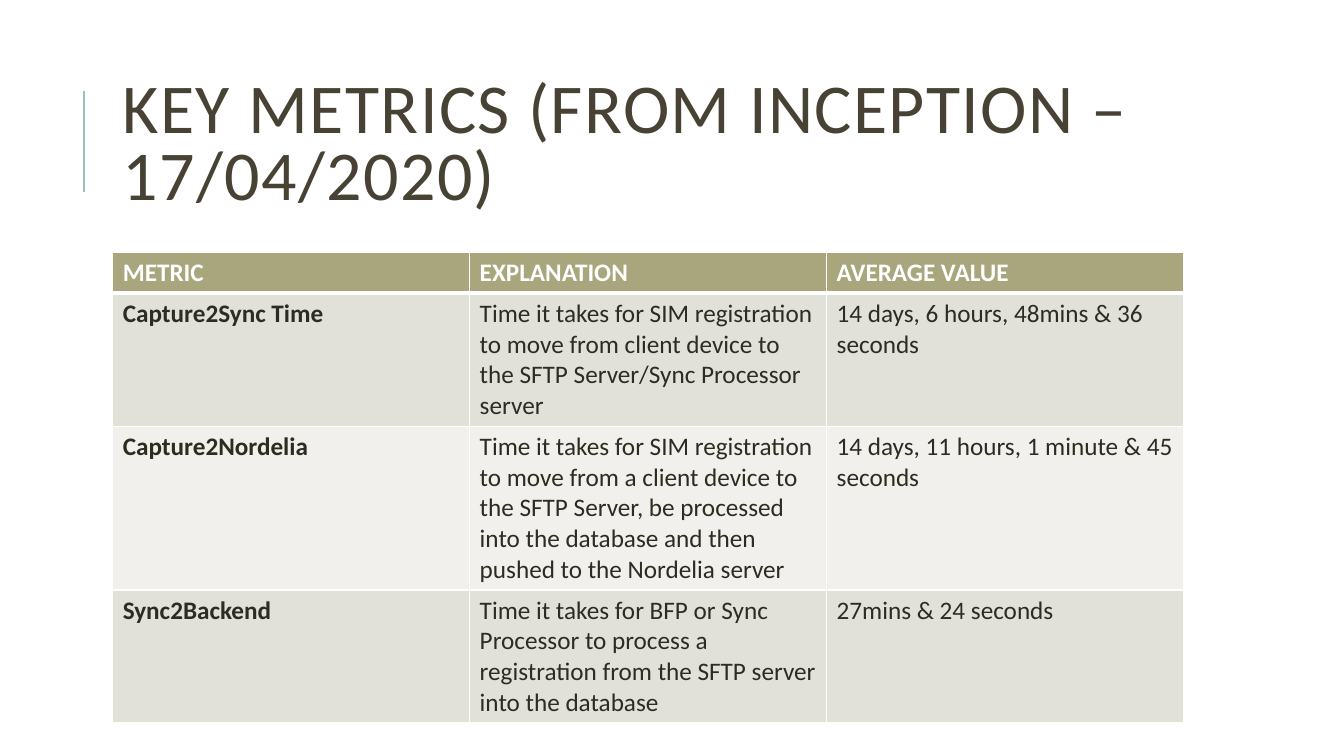
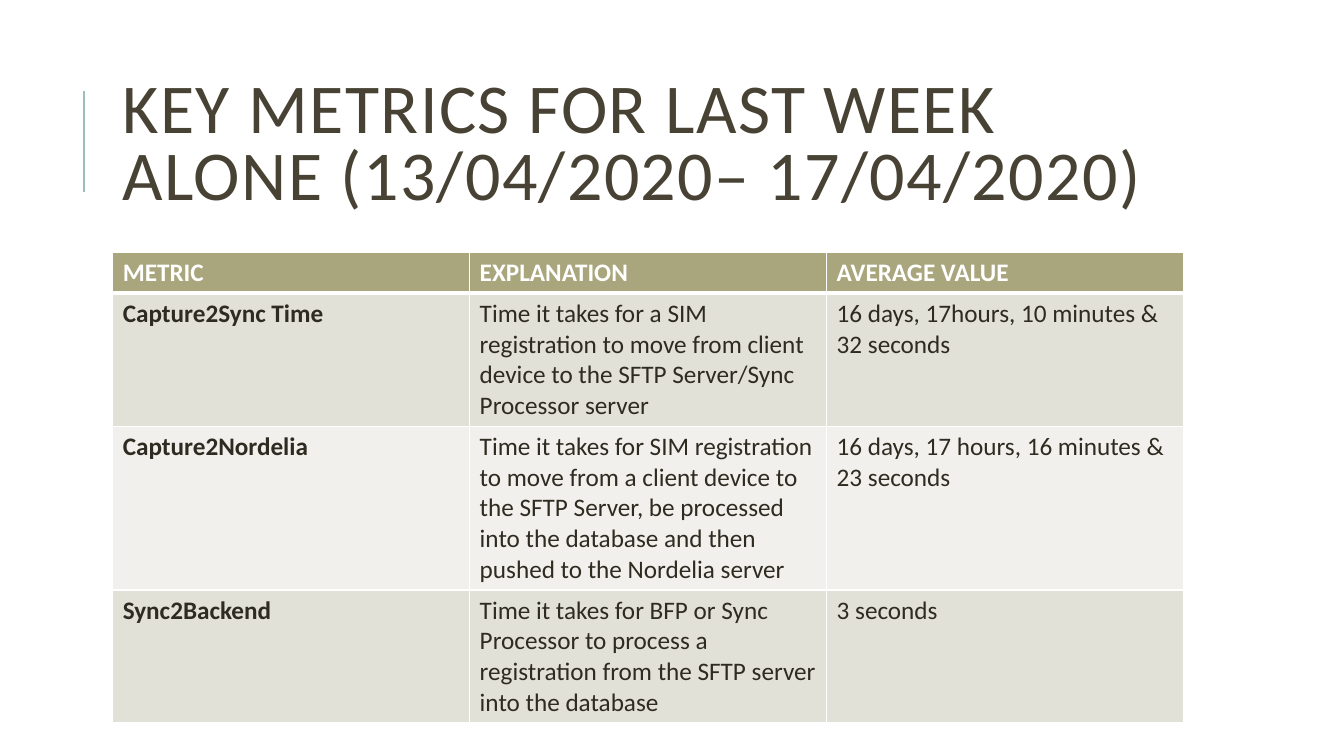
from lxml.etree import SubElement
from pptx import Presentation
from pptx.dml.color import RGBColor
from pptx.enum.shapes import MSO_CONNECTOR
from pptx.enum.text import MSO_ANCHOR
from pptx.oxml.ns import qn
from pptx.util import Pt

FONT = "Calibri"
COLORS = {
    "title": "474233",
    "accent": "9CBEBD",
    "header": "A9A57C",
    "band_dark": "E2E1D7",
    "band_light": "F1F0EC",
    "text": "2E2B21",
    "white": "FFFFFF",
}

TITLE_BOX = (80.5, 46, 765, 118)
TABLE_BOX = (80.5, 180, 765, 336)
ROW_HEIGHTS = (29.5, 95, 117, 95)
HEADINGS = ("METRIC", "EXPLANATION", "AVERAGE VALUE")

TO_DATABASE = (
    "Time it takes for SIM registration to move from a client device to the SFTP Server, "
    "be processed into the database and then pushed to the Nordelia server"
)
TO_BACKEND = (
    "Time it takes for BFP or Sync Processor to process a registration "
    "from the SFTP server into the database"
)
SLIDES = [
    (
        "KEY METRICS (FROM INCEPTION – 17/04/2020)",
        "Time it takes for SIM registration to move from client device "
        "to the SFTP Server/Sync Processor server",
        (
            "14 days, 6 hours, 48mins & 36 seconds",
            "14 days, 11 hours, 1 minute & 45 seconds",
            "27mins & 24 seconds",
        ),
    ),
    (
        "KEY METRICS FOR LAST WEEK ALONE (13/04/2020– 17/04/2020)",
        "Time it takes for a SIM registration to move from client device "
        "to the SFTP Server/Sync Processor server",
        (
            "16 days, 17hours, 10 minutes & 32 seconds",
            "16 days, 17 hours, 16 minutes & 23 seconds",
            "3 seconds",
        ),
    ),
]


def rgb(name):
    return RGBColor.from_string(COLORS[name])


def write(tf, text, size=18, color="text", bold=False, line_spacing=None, tracking=None):
    """Fill a text frame with one formatted run; tracking is in points."""
    tf.word_wrap = True
    p = tf.paragraphs[0]
    if line_spacing:
        p.line_spacing = line_spacing
    r = p.add_run()
    r.text = text
    r.font.name = FONT
    r.font.size = Pt(size)
    r.font.bold = bold
    r.font.color.rgb = rgb(color)
    if tracking:
        r.font._element.set("spc", str(int(tracking * 100)))


def set_borders(cell, top=1, bottom=1):
    """Draw white cell borders; call before the cell gets its fill."""
    tc_pr = cell._tc.get_or_add_tcPr()
    for side, width in (("L", 1), ("R", 1), ("T", top), ("B", bottom)):
        ln = SubElement(tc_pr, qn(f"a:ln{side}"), w=str(Pt(width)))
        fill = SubElement(ln, qn("a:solidFill"))
        SubElement(fill, qn("a:srgbClr"), val=COLORS["white"])


def add_title(slide, text, box):
    left, top, width, height = box
    x = left - 20.5
    line = slide.shapes.add_connector(
        MSO_CONNECTOR.STRAIGHT, Pt(x), Pt(top + 91), Pt(x), Pt(top + 19)
    )
    line.line.color.rgb = rgb("accent")
    line.line.width = Pt(1.5)
    SubElement(line._element.spPr, qn("a:effectLst"))

    sp = slide.shapes.add_textbox(Pt(left), Pt(top), Pt(width), Pt(height))
    sp.text_frame.vertical_anchor = MSO_ANCHOR.MIDDLE
    write(sp.text_frame, text, size=50, color="title", line_spacing=0.8, tracking=1)


def add_metrics_table(slide, rows, box):
    left, top, width, height = box
    table = slide.shapes.add_table(
        len(rows), len(HEADINGS), Pt(left), Pt(top), Pt(width), Pt(height)
    ).table
    for column in table.columns:
        column.width = Pt(width / len(HEADINGS))
    for i, values in enumerate(rows):
        table.rows[i].height = Pt(ROW_HEIGHTS[i])
        is_header = i == 0
        band = "header" if is_header else "band_dark" if i % 2 else "band_light"
        for j, value in enumerate(values):
            cell = table.cell(i, j)
            set_borders(cell, top=3 if i == 1 else 1, bottom=3 if is_header else 1)
            cell.fill.solid()
            cell.fill.fore_color.rgb = rgb(band)
            write(
                cell.text_frame,
                value,
                color="white" if is_header else "text",
                bold=is_header or j == 0,
            )


def add_metrics_slide(prs, title, to_sync, averages):
    slide = prs.slides.add_slide(prs.slide_layouts[6])
    metrics = ("Capture2Sync Time", "Capture2Nordelia", "Sync2Backend")
    explanations = (to_sync, TO_DATABASE, TO_BACKEND)
    add_title(slide, title, TITLE_BOX)
    add_metrics_table(slide, [HEADINGS, *zip(metrics, explanations, averages)], TABLE_BOX)


def main():
    prs = Presentation()
    prs.slide_width, prs.slide_height = Pt(960), Pt(540)
    for content in SLIDES:
        add_metrics_slide(prs, *content)
    prs.save("out.pptx")


if __name__ == "__main__":
    main()
